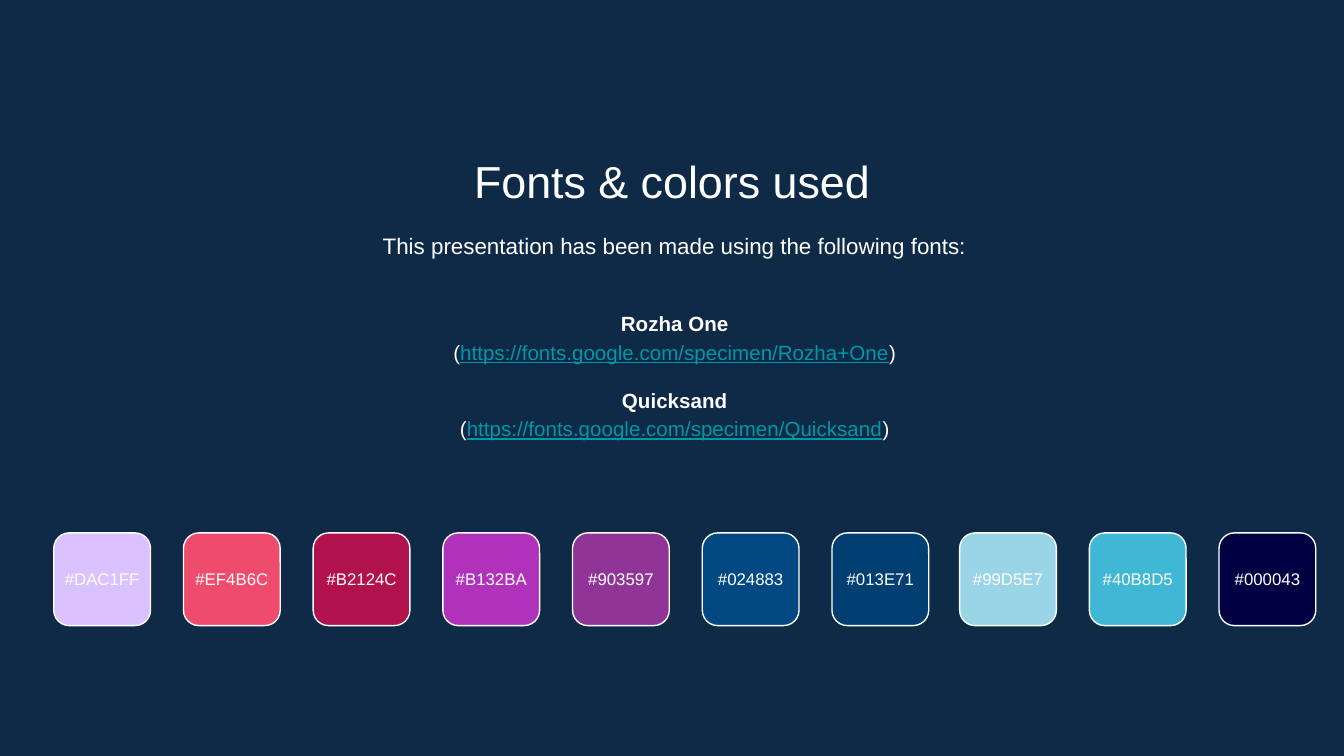
from dataclasses import dataclass

import pptx
import pptx.dml.color
import pptx.enum.shapes
import pptx.enum.text
import pptx.util

PX = 4572  # EMU per px, 200 px to the inch
ANCHOR = pptx.enum.text.MSO_ANCHOR


@dataclass(frozen=True)
class Theme:
    font: str = "Arial"
    background: str = "0E2A47"
    text: str = "FFFFFF"
    link: str = "0097A7"
    outline: str = "FFFFFF"
    title_size: int = 24
    intro_size: int = 12
    font_list_size: int = 11
    label_size: int = 9
    outline_width: float = 0.75


THEME = Theme()

# Left edge of each run of evenly spaced swatches, and its colours
SWATCH_RUNS = [
    (80, ["DAC1FF", "EF4B6C", "B2124C", "B132BA", "903597", "024883", "013E71"]),
    (1428, ["99D5E7", "40B8D5", "000043"]),
]
SWATCH_PITCH = 193
SWATCH_TOP, SWATCH_WIDTH, SWATCH_HEIGHT = 793, 144, 138
LABEL_TOP, LABEL_WIDTH, LABEL_HEIGHT = 822, 156, 80

FONTS_USED = [
    ("Rozha One", "https://fonts.google.com/specimen/Rozha+One"),
    ("Quicksand", "https://fonts.google.com/specimen/Quicksand"),
]


def rgb(value):
    return pptx.dml.color.RGBColor.from_string(value)


def emu(*lengths):
    return [length * PX for length in lengths]


def apply_format(target, values):
    for name, value in values.items():
        setattr(target, name, value)


def add_text(slide, bounds, paragraphs, size, anchor=ANCHOR.TOP, spacing=None):
    """Each paragraph is (space before in points, [(text, font format), ...])."""
    frame = slide.shapes.add_textbox(*emu(*bounds)).text_frame
    frame_format = {"word_wrap": True, "vertical_anchor": anchor}
    for side in ("left", "top", "right", "bottom"):
        frame_format[f"margin_{side}"] = 20 * PX
    apply_format(frame, frame_format)
    for index, (space_before, spans) in enumerate(paragraphs):
        para = frame.add_paragraph() if index else frame.paragraphs[0]
        para.alignment = pptx.enum.text.PP_ALIGN.CENTER
        if spacing:
            para.line_spacing = spacing
        if space_before:
            para.space_before = pptx.util.Pt(space_before)
        for text, font_format in spans:
            span = para.add_run()
            span.text = text
            font_values = {"name": THEME.font, "size": pptx.util.Pt(size), **font_format}
            color = font_values.pop("color", THEME.text)
            apply_format(span.font, font_values)
            span.font.color.rgb = rgb(color)


def font_entry(name, address, space_before):
    link_format = {"color": THEME.link, "underline": True}
    return [
        (space_before, [(name, {"bold": True})]),
        (0, [("(", {}), (address, link_format), (")", {})]),
    ]


def add_swatch(slide, left, color):
    tile = slide.shapes.add_shape(
        pptx.enum.shapes.MSO_SHAPE.ROUNDED_RECTANGLE,
        *emu(left, SWATCH_TOP, SWATCH_WIDTH, SWATCH_HEIGHT))
    tile.shadow.inherit = False
    tile.fill.solid()
    tile.fill.fore_color.rgb = rgb(color)
    tile.line.color.rgb = rgb(THEME.outline)
    tile.line.width = pptx.util.Pt(THEME.outline_width)
    label_left = left - (LABEL_WIDTH - SWATCH_WIDTH) // 2
    add_text(slide, (label_left, LABEL_TOP, LABEL_WIDTH, LABEL_HEIGHT),
             [(0, [(f"#{color}", {})])], THEME.label_size, ANCHOR.MIDDLE)


def main():
    deck = pptx.Presentation()
    deck.slide_width, deck.slide_height = emu(2000, 1125)
    slide = deck.slides.add_slide(deck.slide_layouts[6])
    slide.background.fill.solid()
    slide.background.fill.fore_color.rgb = rgb(THEME.background)

    add_text(slide, (229, 209, 1542, 106),
             [(0, [("Fonts & colors used", {})])], THEME.title_size)
    intro = "This presentation has been made using the following fonts:"
    add_text(slide, (233, 319, 1542, 96), [(0, [(intro, {})])],
             THEME.intro_size, spacing=1.15)
    font_list = []
    for name, address in FONTS_USED:
        font_list += font_entry(name, address, 10.7 if font_list else 0)
    add_text(slide, (233, 420, 1542, 274), font_list,
             THEME.font_list_size, ANCHOR.MIDDLE, 1.15)

    for first_left, colors in SWATCH_RUNS:
        for index, color in enumerate(colors):
            add_swatch(slide, first_left + index * SWATCH_PITCH, color)

    deck.save("out.pptx")


if __name__ == "__main__":
    main()
